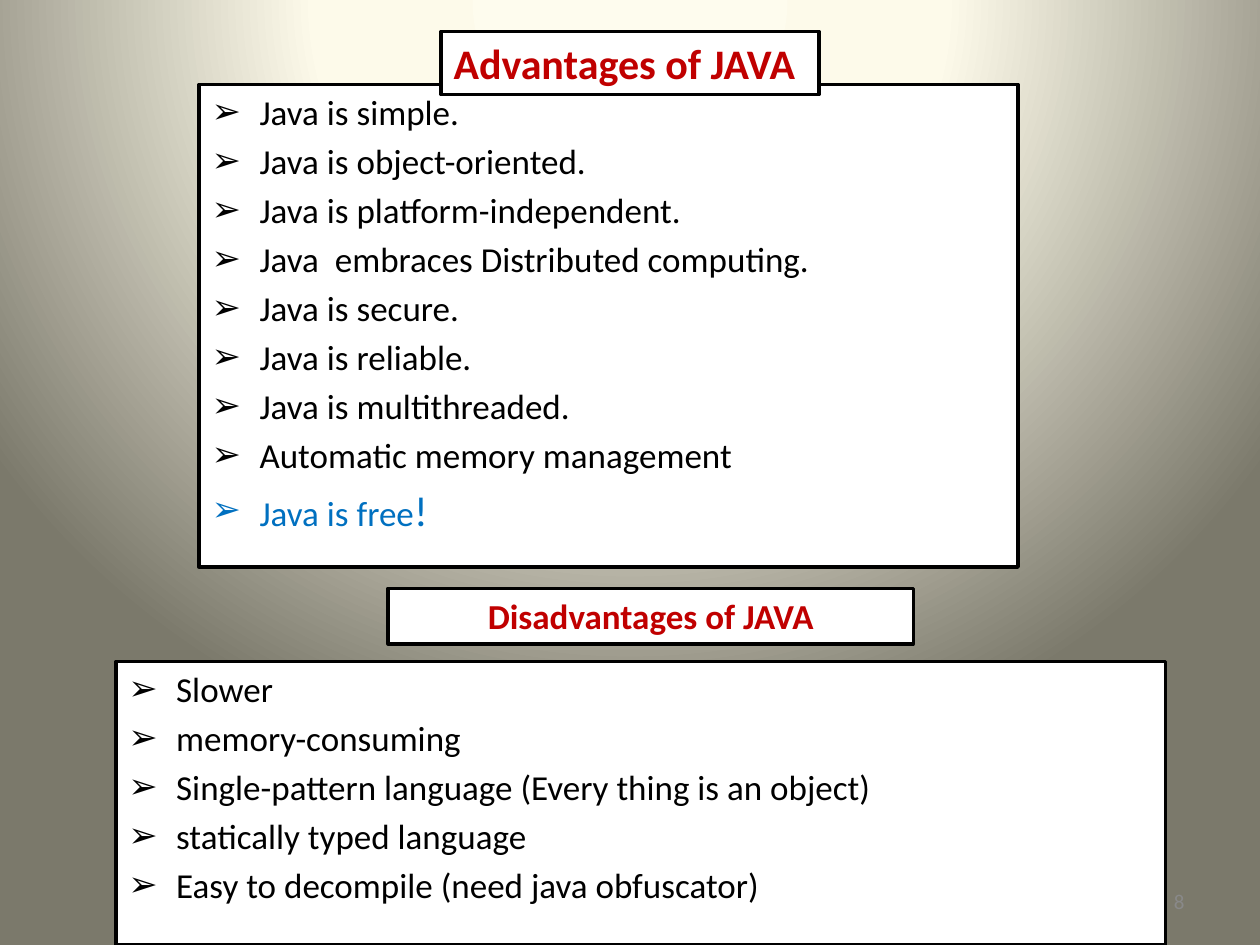
from pptx import Presentation, oxml
from pptx import util as u
from pptx.dml.color import RGBColor
from pptx.enum import shapes, text
from pptx.oxml.ns import nsdecls

COLORS = {"paper": "FFFFFF", "ink": "000000", "heading": "C00000",
          "free": "0070C0", "number": "898989"}
BACKDROP = [(0, "FEFCEE"), (40, "FDFAEA"), (100, "7B796B")]
ADVANTAGES = [
    "Java is simple. ", "Java is object-oriented.", "Java is platform-independent.",
    "Java  embraces Distributed computing. ", "Java is secure.", "Java is reliable. ",
    "Java is multithreaded.", "Automatic memory management",
]
FREE = [("Java is free", 20), ("!", 24)]
DISADVANTAGES = [
    "Slower", "memory-consuming ", "Single-pattern language (Every thing is an object)",
    "statically typed language", "Easy to decompile (need java obfuscator)",
]
LEFT, CENTER, RIGHT = text.PP_ALIGN.LEFT, text.PP_ALIGN.CENTER, text.PP_ALIGN.RIGHT
TOP, MIDDLE = text.MSO_ANCHOR.TOP, text.MSO_ANCHOR.MIDDLE


def place(part, box, anchor=TOP):
    for side, length in zip(("left", "top", "width", "height"), box):
        setattr(part, side, u.Inches(length))
    frame_format = {"word_wrap": True, "auto_size": text.MSO_AUTO_SIZE.NONE,
                    "vertical_anchor": anchor}
    for key, value in frame_format.items():
        setattr(part.text_frame, key, value)


def panel(part, box):
    place(part, box)
    part.fill.solid()
    part.fill.fore_color.rgb = RGBColor.from_string(COLORS["paper"])
    part.line.color.rgb = RGBColor.from_string(COLORS["ink"])
    part.line.width = u.Pt(2)


def write(paragraph, words, size, color, bold=False, align=LEFT):
    paragraph.alignment = align
    run = paragraph.add_run()
    run.text = words
    for key, value in {"name": "Calibri", "size": u.Pt(size), "bold": bold}.items():
        setattr(run.font, key, value)
    run.font.color.rgb = RGBColor.from_string(COLORS[color])


def bulleted(frame, items):
    for index, (pieces, color) in enumerate(items):
        paragraph = frame.paragraphs[0] if index == 0 else frame.add_paragraph()
        for words, size in pieces:
            write(paragraph, words, size, color)
        properties = paragraph._p.get_or_add_pPr()
        properties.set("marL", str(u.Inches(0.38)))
        properties.set("indent", str(u.Inches(-0.38)))
        for markup in ('<a:spcBef {}><a:spcPct val="20000"/></a:spcBef>',
                       '<a:buFont {} typeface="Arial"/>',
                       '<a:buChar {} char="\u27a2"/>'):
            properties.append(oxml.parse_xml(markup.format(nsdecls("a"))))


def plain(items):
    return [([(item, 20)], "ink") for item in items]


deck = Presentation()
deck.slide_width, deck.slide_height = u.Inches(10), u.Inches(7.5)
slide = deck.slides.add_slide(deck.slide_layouts[1])

slide.background.fill.gradient()
gradient = slide.background._cSld.bg.bgPr.find(".//" + oxml.ns.qn("a:gradFill"))
stops = "".join(f'<a:gs pos="{at * 1000}"><a:srgbClr val="{color}"/></a:gs>'
                for at, color in BACKDROP)
gradient.getparent().replace(gradient, oxml.parse_xml(
    f'<a:gradFill {nsdecls("a")} rotWithShape="1"><a:gsLst>{stops}</a:gsLst>'
    '<a:path path="circle"><a:fillToRect l="50000" t="-80000" r="50000" b="180000"/>'
    '</a:path></a:gradFill>'))

advantages_title = slide.shapes.title
advantages = slide.placeholders[1]
advantages_title._element.addprevious(advantages._element)
panel(advantages, (1.58, 0.67, 6.5, 3.83))
bulleted(advantages.text_frame, plain(ADVANTAGES) + [(FREE, "free")])
panel(advantages_title, (3.5, 0.25, 3, 0.5))
write(advantages_title.text_frame.paragraphs[0], "Advantages of JAVA ", 24, "heading", True)

page_number = slide.shapes.add_textbox(0, 0, 0, 0)
place(page_number, (7.17, 6.95, 2.33, 0.4), MIDDLE)
write(page_number.text_frame.paragraphs[0], "8", 12, "number", align=RIGHT)

disadvantages_title, disadvantages = (
    slide.shapes.add_shape(shapes.MSO_SHAPE.RECTANGLE, 0, 0, 0, 0) for _ in range(2))
for part, box in ((disadvantages_title, (3.08, 4.67, 4.17, 0.44)),
                  (disadvantages, (0.92, 5.25, 8.33, 2.25))):
    part.shadow.inherit = False
    panel(part, box)
write(disadvantages_title.text_frame.paragraphs[0], "Disadvantages of JAVA", 20,
      "heading", True, CENTER)
bulleted(disadvantages.text_frame, plain(DISADVANTAGES))

deck.save("out.pptx")
